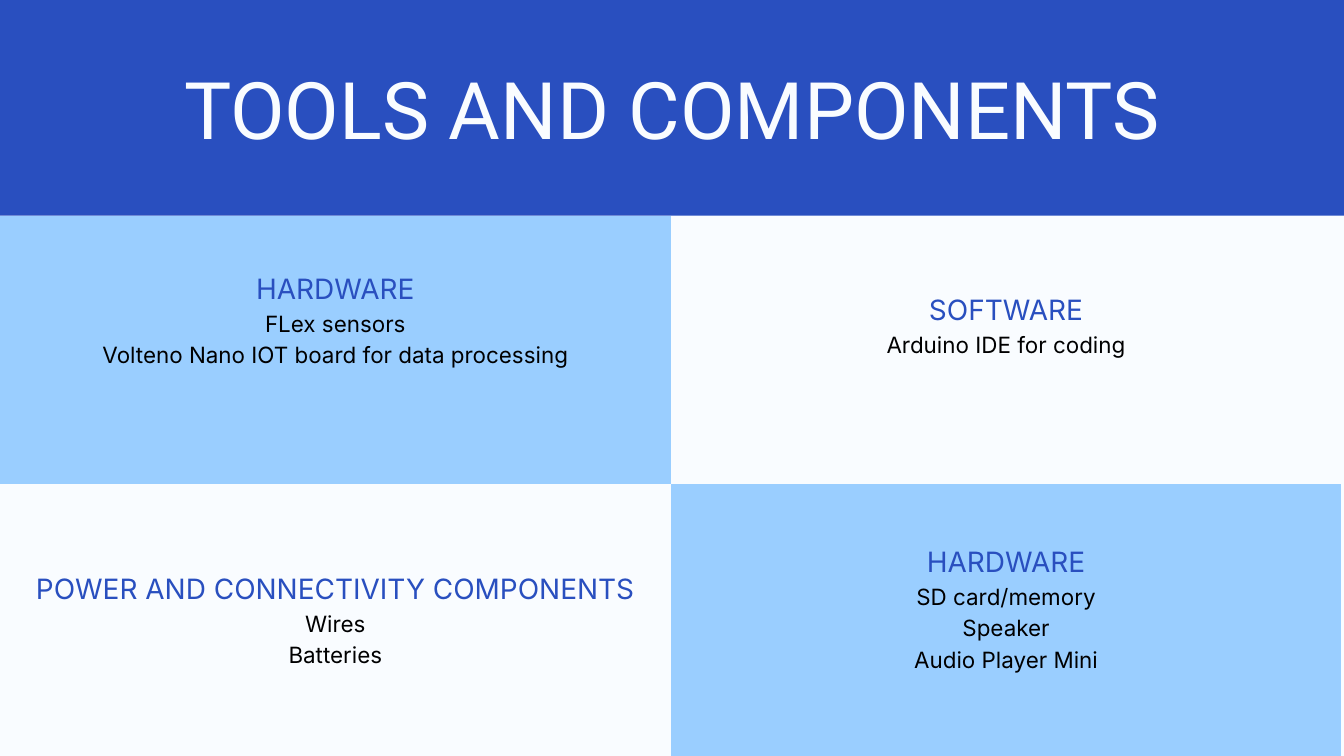
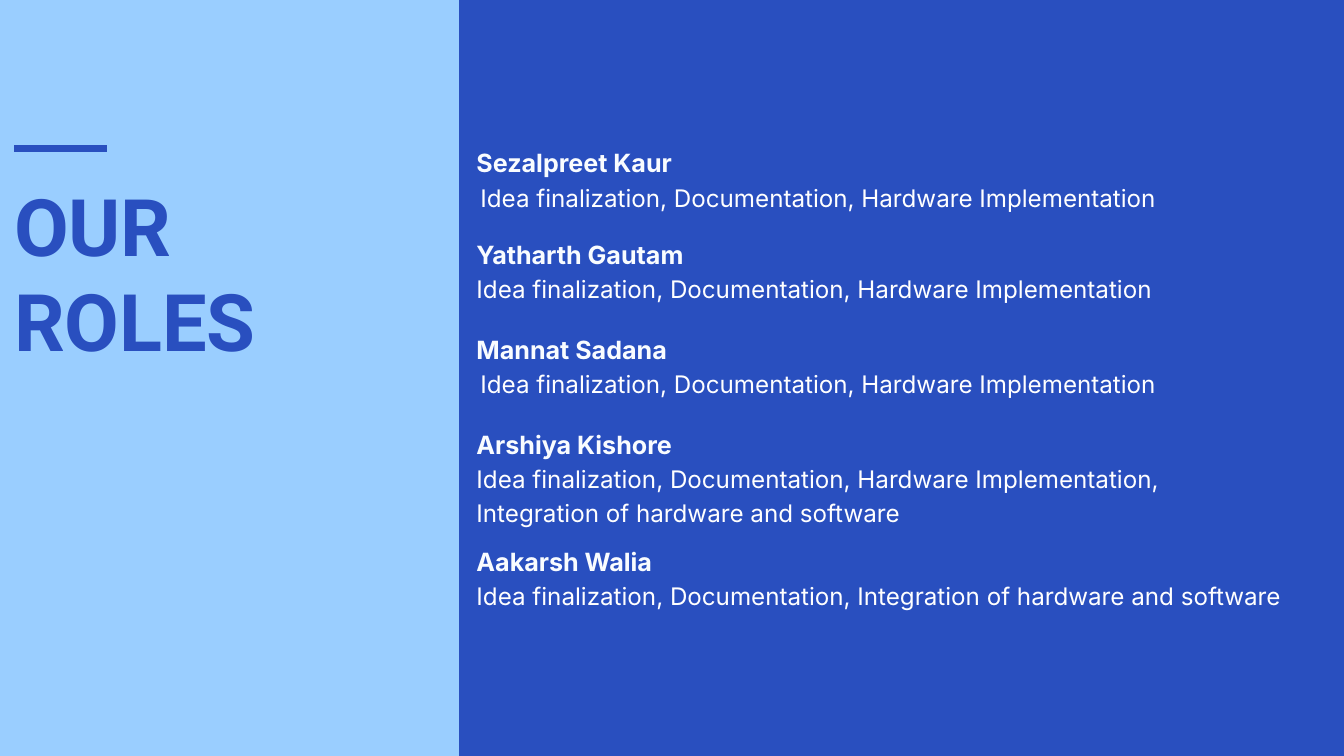
from lxml import etree
from pptx import Presentation
from pptx.dml.color import RGBColor
from pptx.enum.shapes import MSO_CONNECTOR, MSO_SHAPE
from pptx.enum.text import MSO_ANCHOR, MSO_AUTO_SIZE, PP_ALIGN
from pptx.oxml.ns import qn
from pptx.util import Cm, Pt

BLUE = RGBColor(0x29, 0x4F, 0xBF)
SKY = RGBColor(0x9A, 0xCE, 0xFF)
PALE = RGBColor(0xF9, 0xFC, 0xFF)
WHITE = RGBColor(0xFF, 0xFF, 0xFF)
BLACK = RGBColor(0, 0, 0)
TITLE_FONT, TEXT_FONT = "Roboto", "Inter"
NO_GRID_STYLE = "{2D5ABB26-0587-4C30-8999-92F81FD0307C}"

WIDTH, HEIGHT = Cm(50.8), Cm(28.58)
BAND_HEIGHT = Cm(8.15)
PANEL_WIDTH = Cm(17.35)
EDGE = Cm(0.53)

# Rows of cells: heading, items, top margin in cm, fill
COMPONENTS = [
    [("HARDWARE", ["FLex sensors", "Volteno Nano IOT board for data processing"], 1.96, SKY),
     ("SOFTWARE", ["Arduino IDE for coding"], 2.74, None)],
    [("POWER AND CONNECTIVITY COMPONENTS", ["Wires", "Batteries"], 3.12, None),
     ("HARDWARE", ["SD card/memory", "Speaker", "Audio Player Mini"], 2.11, SKY)],
]
SHARED_ROLE = "Idea finalization, Documentation, Hardware Implementation"
# Name, role, space before the name in points, indent of the role in cm
ROLES = [
    ("Sezalpreet Kaur", SHARED_ROLE, 0, 0.15),
    ("Yatharth Gautam", SHARED_ROLE, 29, 0),
    ("Mannat Sadana", SHARED_ROLE, 34, 0.15),
    ("Arshiya Kishore", SHARED_ROLE + ", Integration of hardware and software", 33, 0),
    ("Aakarsh Walia", "Idea finalization, Documentation, Integration of hardware and software", 20, 0),
]


def add_slide(prs, layout, background):
    s = prs.slides.add_slide(prs.slide_layouts[layout])
    s.background.fill.solid()
    s.background.fill.fore_color.rgb = background
    return s


def add_block(s, width, height, color):
    """Add a plain rectangle at the top left corner, behind the placeholders."""
    sp = s.shapes.add_shape(MSO_SHAPE.RECTANGLE, 0, 0, width, height)
    sp.shadow.inherit = False
    sp.fill.solid()
    sp.fill.fore_color.rgb = color
    sp.line.fill.background()
    s.shapes._spTree.insert(2, sp._element)


def add_rule(s, x1, x2, y):
    line = s.shapes.add_connector(MSO_CONNECTOR.STRAIGHT, x1, y, x2, y)
    line.line.color.rgb = BLUE
    line.line.width = Pt(7)
    etree.SubElement(line._element.spPr, qn("a:effectLst"))


def place(sp, left, top, width, height, inset=0, anchor=MSO_ANCHOR.TOP):
    """Move a placeholder and return its prepared text frame."""
    sp.left, sp.top, sp.width, sp.height = left, top, width, height
    tf = sp.text_frame
    tf.margin_left = tf.margin_right = tf.margin_top = tf.margin_bottom = inset
    tf.vertical_anchor = anchor
    tf.word_wrap = True
    tf.auto_size = MSO_AUTO_SIZE.NONE
    return tf


def add_line(tf, text, size, color, spacing, align=PP_ALIGN.LEFT, font=TEXT_FONT,
             bold=False, before=0, indent=0):
    """Write one paragraph, using the empty first one when there is one."""
    p = tf.paragraphs[0]
    if p.runs:
        p = tf.add_paragraph()
    pPr = p._p.get_or_add_pPr()
    pPr.set("marL", str(Cm(indent)))
    pPr.set("indent", "0")
    etree.SubElement(pPr, qn("a:buNone"))
    p.alignment = align
    p.line_spacing = Pt(spacing)
    p.space_before = Pt(before)
    p.space_after = Pt(0)
    r = p.add_run()
    r.text = text
    r.font.name = font
    r.font.size = Pt(size)
    r.font.bold = bold
    r.font.color.rgb = color


def fill_cell(cell, heading, items, top, color):
    cell.vertical_anchor = MSO_ANCHOR.TOP
    cell.margin_left = cell.margin_right = cell.margin_bottom = EDGE
    cell.margin_top = Cm(top)
    if color is None:
        cell.fill.background()
    else:
        cell.fill.solid()
        cell.fill.fore_color.rgb = color
    tf = cell.text_frame
    add_line(tf, heading, 30, BLUE, 42, PP_ALIGN.CENTER)
    for item in items:
        add_line(tf, item, 24, BLACK, 33.6, PP_ALIGN.CENTER)


def add_component_table(s):
    row_heights = [Cm(10.16), Cm(11.18)]
    column_width = Cm(25.35)
    frame = s.shapes.add_table(2, 2, 0, BAND_HEIGHT, column_width * 2, sum(row_heights))
    table = frame.table
    table.first_row = table.horz_banding = False
    table._tbl.tblPr.find(qn("a:tableStyleId")).text = NO_GRID_STYLE
    for column in table.columns:
        column.width = column_width
    for i, (height, cells) in enumerate(zip(row_heights, COMPONENTS)):
        table.rows[i].height = height
        for j, content in enumerate(cells):
            fill_cell(table.cell(i, j), *content)


def build_components(prs):
    s = add_slide(prs, 5, PALE)
    add_block(s, WIDTH, BAND_HEIGHT, BLUE)
    tf = place(s.shapes.title, 0, 0, WIDTH, BAND_HEIGHT, Cm(0.71), MSO_ANCHOR.MIDDLE)
    add_line(tf, "TOOLS AND COMPONENTS", 85, PALE, 102, PP_ALIGN.CENTER, TITLE_FONT)
    add_component_table(s)


def build_roles(prs):
    s = add_slide(prs, 1, BLUE)
    add_block(s, PANEL_WIDTH, HEIGHT, SKY)
    add_rule(s, EDGE, Cm(4.06), Cm(5.61))
    tf = place(s.shapes.title, EDGE, Cm(6.71), Cm(14.78), Cm(7.2))
    add_line(tf, "OUR ROLES", 85, BLUE, 102, font=TITLE_FONT, bold=True)
    tf = place(s.placeholders[1], Cm(18.01), Cm(5.59), Cm(30.55), Cm(17.27))
    for name, role, before, indent in ROLES:
        add_line(tf, name, 26.9, PALE, 32.3, bold=True, before=before)
        add_line(tf, role, 25.9, WHITE, 36.3, indent=indent)


def main():
    prs = Presentation()
    prs.slide_width, prs.slide_height = WIDTH, HEIGHT
    build_components(prs)
    build_roles(prs)
    prs.save("out.pptx")


if __name__ == "__main__":
    main()
